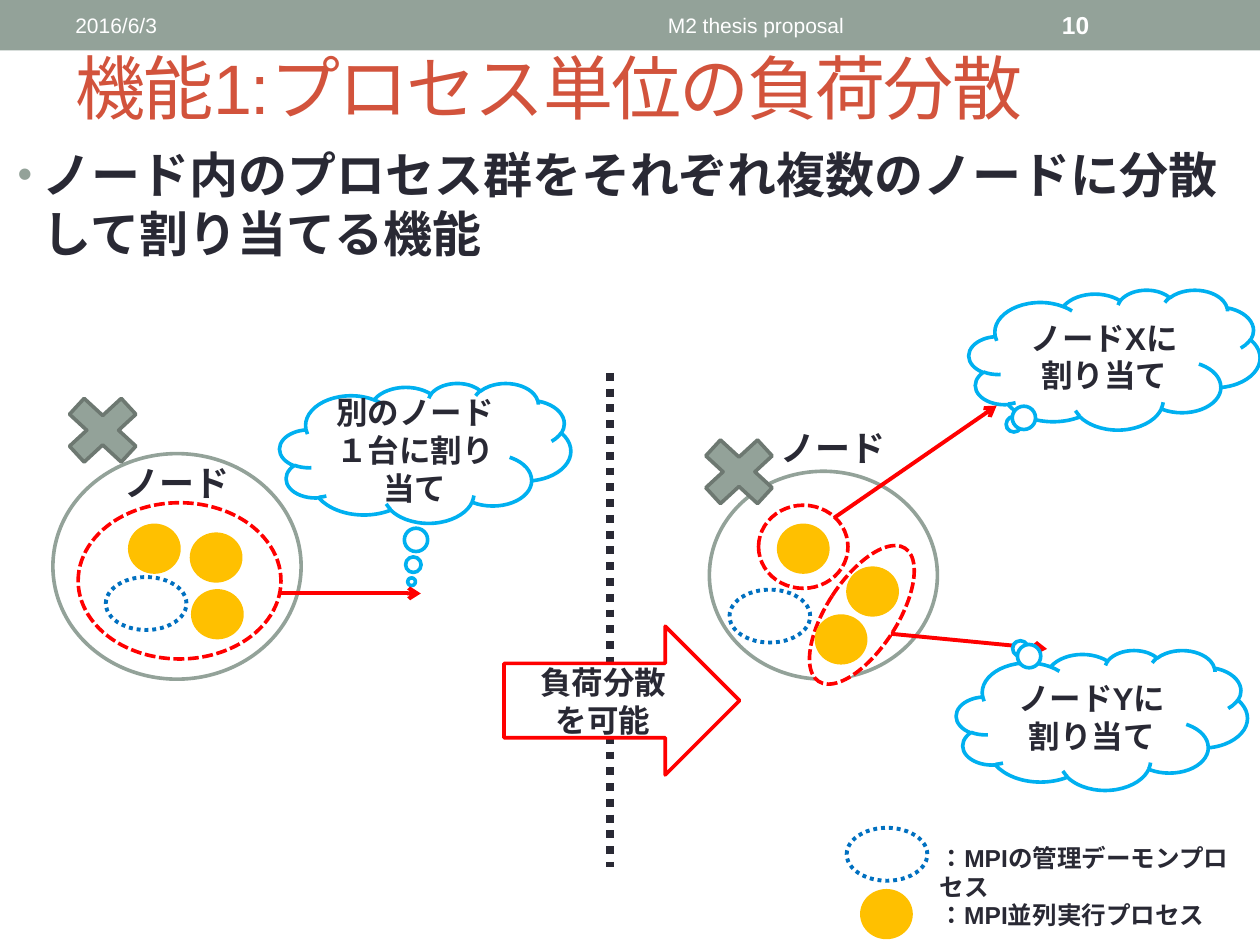
from dataclasses import dataclass
from typing import Optional

from lxml import etree
from pptx import Presentation
from pptx.dml.color import RGBColor
from pptx.enum import dml, lang, shapes, text
from pptx.oxml.ns import qn
from pptx.util import Inches, Pt

COLORS = {
    "sage": "93A299", "dark_sage": "6D7871", "ink": "292934", "rust": "D2533C",
    "white": "FFFFFF", "red": "FF0000", "sky": "00B0F0", "blue": "0070C0",
    "amber": "FFC000",
}
KIND = shapes.MSO_SHAPE
DASH = dml.MSO_LINE.SQUARE_DOT
DOT = dml.MSO_LINE.ROUND_DOT
LEFT, CENTER = text.PP_ALIGN.LEFT, text.PP_ALIGN.CENTER
TOP, MIDDLE = text.MSO_ANCHOR.TOP, text.MSO_ANCHOR.MIDDLE


@dataclass
class Figure:
    kind: shapes.MSO_SHAPE
    box: tuple
    line: Optional[str] = None
    fill: str = "white"
    width: float = 2.08
    dash: Optional[dml.MSO_LINE] = None
    words: str = ""
    tail: tuple = ()
    rotation: float = 0


@dataclass
class Label:
    words: str
    box: tuple
    size: float
    color: str = "ink"
    bold: bool = True
    align: text.PP_ALIGN = LEFT
    anchor: text.MSO_ANCHOR = MIDDLE


@dataclass
class Route:
    start: tuple
    end: tuple
    color: str = "red"
    width: float = 2.25
    dash: Optional[dml.MSO_LINE] = None
    arrow: bool = True


def rgb(name: str) -> RGBColor:
    return RGBColor.from_string(COLORS[name])


def write(frame, words: str, size: float, color: str = "ink", bold: bool = True,
          align=CENTER, anchor=MIDDLE) -> None:
    frame.text = words
    frame.word_wrap = True
    frame.auto_size = text.MSO_AUTO_SIZE.NONE
    frame.vertical_anchor = anchor
    for paragraph in frame.paragraphs:
        paragraph.alignment = align
        for run in paragraph.runs:
            run.font.name = "Arial"
            run.font.language_id = lang.MSO_LANGUAGE_ID.JAPANESE
            run.font.size = Pt(size)
            run.font.bold = bold
            run.font.color.rgb = rgb(color)


def place(shape, box: tuple) -> None:
    shape.left, shape.top, shape.width, shape.height = map(Inches, box)


def draw_figure(slide, figure: Figure) -> None:
    shape = slide.shapes.add_shape(figure.kind, *map(Inches, figure.box))
    shape.shadow.inherit = False
    shape.rotation = figure.rotation
    shape.fill.solid()
    shape.fill.fore_color.rgb = rgb(figure.fill)
    if figure.line:
        shape.line.color.rgb = rgb(figure.line)
        shape.line.width = Pt(figure.width)
        if figure.dash:
            shape.line.dash_style = figure.dash
    else:
        shape.line.fill.background()
    for index, value in enumerate(figure.tail):
        shape.adjustments[index] = value
    if figure.words:
        write(shape.text_frame, figure.words, 18)


def draw_label(slide, label: Label) -> None:
    box = slide.shapes.add_textbox(*map(Inches, label.box))
    write(box.text_frame, label.words, label.size, label.color, label.bold,
          label.align, label.anchor)


def draw_route(slide, route: Route) -> None:
    connector = slide.shapes.add_connector(
        shapes.MSO_CONNECTOR.STRAIGHT, *map(Inches, route.start + route.end))
    connector.line.color.rgb = rgb(route.color)
    connector.line.width = Pt(route.width)
    if route.dash:
        connector.line.dash_style = route.dash
    properties = connector._element.spPr
    if route.arrow:
        etree.SubElement(properties.find(qn("a:ln")), qn("a:tailEnd"), type="arrow")
    etree.SubElement(properties, qn("a:effectLst"))


def node(*box: float) -> Figure:
    return Figure(KIND.OVAL, box, "sage")


def node_name(left: float, top: float, width: float) -> Label:
    return Label("ノード", (left, top, width, 0.4), 20, align=CENTER)


def failure(left: float, top: float) -> Figure:
    return Figure(KIND.MATH_MULTIPLY, (left, top, 0.79, 0.73), "dark_sage", "sage")


def cloud(left: float, top: float, words: str, tail: tuple) -> Figure:
    return Figure(KIND.CLOUD_CALLOUT, (left, top, 2.31, 1.11), "sky",
                  words=words, tail=tail)


def group(*box: float, rotation: float = 0) -> Figure:
    return Figure(KIND.OVAL, box, "red", dash=DASH, rotation=rotation)


def daemon(left: float, top: float) -> Figure:
    return Figure(KIND.OVAL, (left, top, 0.64, 0.42), "blue", width=2.25, dash=DOT)


def process(left: float, top: float) -> Figure:
    return Figure(KIND.OVAL, (left, top, 0.39, 0.37), "amber", "amber")


HEADER = [
    Figure(KIND.RECTANGLE, (0, 0, 10, 0.4), fill="sage"),
    Label("2016/6/3", (0.5, 0.02, 3.17, 0.36), 12, "white", False),
    Label("M2 thesis proposal", (3.75, 0.02, 4.5, 0.36), 12, "white", False, CENTER),
    Label("10", (8.33, 0.02, 1.17, 0.36), 14, "white"),
]
DIAGRAM = [
    node(0.42, 3.6, 1.97, 1.79),
    node_name(0.42, 3.63, 1.97),
    failure(0.42, 3.05),
    cloud(2.22, 3.04, "別のノード１台に割り当て", (-0.047, 0.921)),
    group(0.62, 3.99, 1.61, 1.24),
    Route((2.23, 4.71), (3.34, 4.71)),
    node(5.63, 3.74, 1.81, 1.65),
    node_name(5.71, 3.35, 1.81),
    failure(5.47, 3.38),
    cloud(7.69, 2.3, "ノードXに割り当て", (-0.357, 0.477)),
    group(6.02, 4.01, 0.71, 0.66),
    group(6.56, 4.25, 0.56, 1.26, rotation=33),
    Route((6.62, 4.11), (7.91, 3.22)),
    Route((7.07, 5.03), (8.31, 5.15)),
    cloud(7.59, 5.16, "ノードYに割り当て", (-0.29, -0.53)),
    Route((4.84, 2.96), (4.84, 6.88), "ink", 4.5, DOT, arrow=False),
    Figure(KIND.RIGHT_ARROW, (4, 4.97, 1.87, 1.18), "red", words="負荷分散\nを可能"),
    Label("：MPI並列実行プロセス", (7.36, 7.09, 2.44, 0.34), 14, anchor=TOP),
    Label("：MPIの管理デーモンプロセス", (7.36, 6.64, 2.68, 0.34), 14, anchor=TOP),
]
DAEMONS = [(6.72, 6.57), (0.84, 4.58), (5.79, 4.68)]
PROCESSES = [(6.84, 7.07), (1.03, 4.17), (1.52, 4.24), (1.53, 4.69),
             (6.18, 4.17), (6.48, 4.89), (6.73, 4.51)]


def fill_placeholders(slide) -> None:
    title, body = slide.shapes.title, slide.placeholders[1]
    place(title, (0.5, 0.15, 9, 1.08))
    write(title.text_frame, "機能1:プロセス単位の負荷分散", 40, "rust", False, LEFT)
    title.text_frame.paragraphs[0].runs[0].font._element.set("spc", "-100")

    place(body, (0.04, 1.1, 9.87, 1.42))
    write(body.text_frame, "ノード内のプロセス群をそれぞれ複数のノードに分散して割り当てる機能",
          28, align=LEFT, anchor=TOP)
    bullet = body.text_frame.paragraphs[0]._p.get_or_add_pPr()
    bullet.set("marL", str(Inches(0.2)))
    bullet.set("indent", str(Inches(-0.2)))
    color = etree.SubElement(bullet, qn("a:buClr"))
    etree.SubElement(color, qn("a:srgbClr"), val=COLORS["sage"])
    etree.SubElement(bullet, qn("a:buSzPct"), val="85000")
    etree.SubElement(bullet, qn("a:buChar"), char="•")


def main() -> None:
    deck = Presentation()
    deck.slide_width, deck.slide_height = Inches(10), Inches(7.5)
    slide = deck.slides.add_slide(deck.slide_layouts[1])
    fill_placeholders(slide)
    draw = {Figure: draw_figure, Label: draw_label, Route: draw_route}
    symbols = [daemon(*spot) for spot in DAEMONS] + [process(*spot) for spot in PROCESSES]
    for item in HEADER + DIAGRAM + symbols:
        draw[type(item)](slide, item)
    deck.save("out.pptx")


if __name__ == "__main__":
    main()
